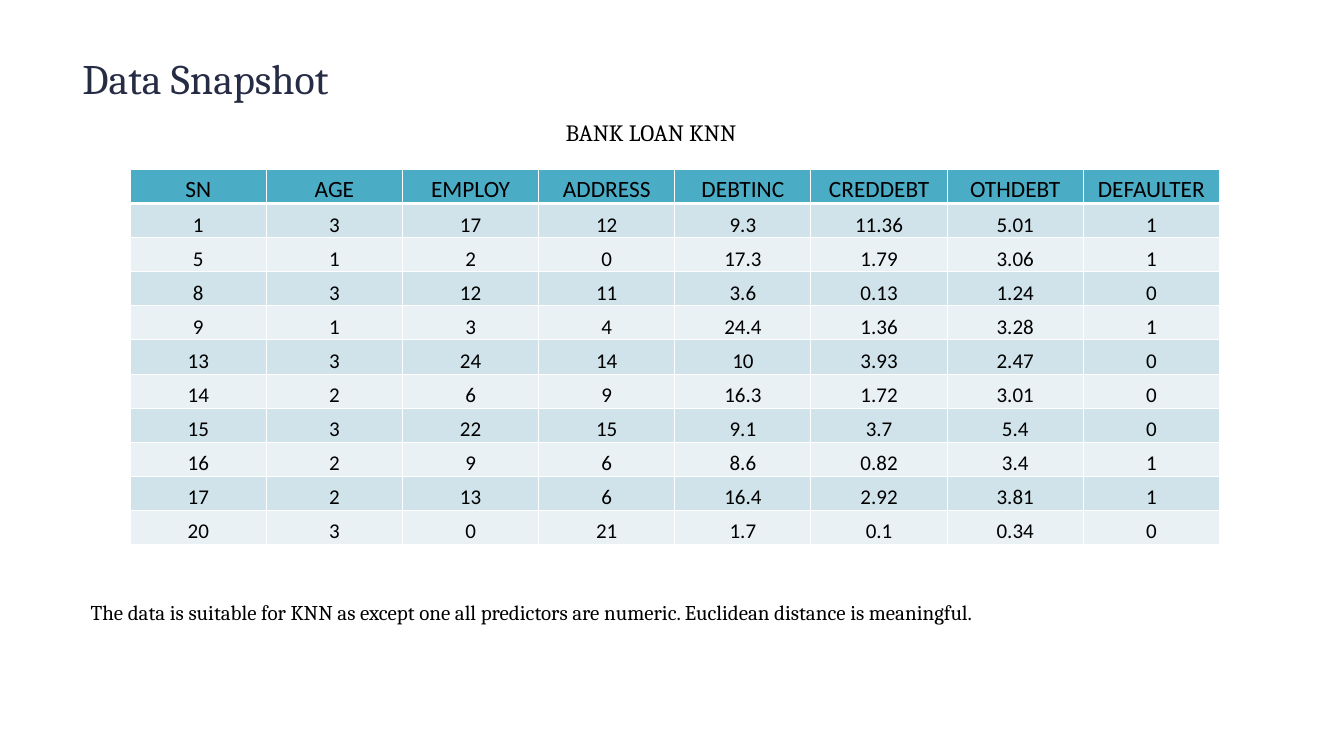
from dataclasses import dataclass

from pptx import Presentation
from pptx.dml.color import RGBColor
from pptx.enum import text as t
from pptx.oxml import parse_xml
from pptx.oxml.ns import nsdecls
from pptx.util import Pt

COLORS = {
    "title": "272C45",
    "text": "000000",
    "header": "4BACC6",
    "odd": "D0E3EA",
    "even": "E9F1F5",
    "border": "FFFFFF",
}

HEADERS = ["SN", "AGE", "EMPLOY", "ADDRESS", "DEBTINC", "CREDDEBT", "OTHDEBT", "DEFAULTER"]
LOANS = [
    [1, 3, 17, 12, 9.3, 11.36, 5.01, 1],
    [5, 1, 2, 0, 17.3, 1.79, 3.06, 1],
    [8, 3, 12, 11, 3.6, 0.13, 1.24, 0],
    [9, 1, 3, 4, 24.4, 1.36, 3.28, 1],
    [13, 3, 24, 14, 10, 3.93, 2.47, 0],
    [14, 2, 6, 9, 16.3, 1.72, 3.01, 0],
    [15, 3, 22, 15, 9.1, 3.7, 5.4, 0],
    [16, 2, 9, 6, 8.6, 0.82, 3.4, 1],
    [17, 2, 13, 6, 16.4, 2.92, 3.81, 1],
    [20, 3, 0, 21, 1.7, 0.1, 0.34, 0],
]
TABLE_LEFT, TABLE_TOP = 111.6, 145.4
COL_WIDTH, ROW_HEIGHT = 116.73, 29.2
THIN, THICK = 1, 3


@dataclass
class TextStyle:
    size: float
    font: str = "Cambria"
    color: str = "text"
    align: t.PP_ALIGN = t.PP_ALIGN.LEFT
    line_spacing: float = 1.0


@dataclass
class TextBox:
    left: float
    top: float
    width: float
    height: float
    text: str
    style: TextStyle


TITLE = TextBox(70.6, 44.6, 1075, 44.6, "Data Snapshot", TextStyle(36, color="title"))
BOXES = [
    TextBox(270, 97.9, 576, 31.5, "BANK LOAN KNN", TextStyle(20, align=t.PP_ALIGN.CENTER)),
    TextBox(70.6, 499.7, 1016, 36.7,
            "The data is suitable for KNN as except one all predictors are numeric. "
            "Euclidean distance is meaningful.",
            TextStyle(18, line_spacing=1.5)),
]


def write(tf, content: str, style: TextStyle) -> None:
    tf.text = content
    p = tf.paragraphs[0]
    p.alignment = style.align
    p.line_spacing = style.line_spacing
    font = p.runs[0].font
    font.name, font.size, font.bold = style.font, Pt(style.size), False
    font.color.rgb = RGBColor.from_string(COLORS[style.color])


def add_title(s, box: TextBox) -> None:
    sp = s.shapes.title
    sp.left, sp.top, sp.width, sp.height = map(Pt, (box.left, box.top, box.width, box.height))
    tf = sp.text_frame
    tf.margin_left = tf.margin_top = tf.margin_right = tf.margin_bottom = 0
    tf.vertical_anchor = t.MSO_ANCHOR.TOP
    write(tf, box.text, box.style)


def add_text(s, box: TextBox) -> None:
    sp = s.shapes.add_textbox(*map(Pt, (box.left, box.top, box.width, box.height)))
    sp.text_frame.word_wrap = True
    write(sp.text_frame, box.text, box.style)


def set_borders(cell, top: float, bottom: float) -> None:
    tc_pr = cell._tc.get_or_add_tcPr()
    for side, width in (("L", THIN), ("R", THIN), ("T", top), ("B", bottom)):
        tc_pr.append(parse_xml(
            f'<a:ln{side} {nsdecls("a")} w="{Pt(width)}"><a:solidFill>'
            f'<a:srgbClr val="{COLORS["border"]}"/></a:solidFill></a:ln{side}>'))


def add_loan_table(s) -> None:
    rows = [HEADERS, *LOANS]
    table = s.shapes.add_table(
        len(rows), len(HEADERS), Pt(TABLE_LEFT), Pt(TABLE_TOP),
        Pt(COL_WIDTH * len(HEADERS)), Pt(ROW_HEIGHT * len(rows))).table
    table.horz_banding = False
    for i, values in enumerate(rows):
        table.rows[i].height = Pt(ROW_HEIGHT)
        fill = "header" if i == 0 else "odd" if i % 2 else "even"
        style = TextStyle(18 if i else 20, "Calibri", align=t.PP_ALIGN.CENTER)
        for j, value in enumerate(values):
            cell = table.cell(i, j)
            cell.margin_left = cell.margin_top = cell.margin_right = Pt(0.7)
            cell.margin_bottom = 0
            cell.vertical_anchor = t.MSO_ANCHOR.BOTTOM
            set_borders(cell, THICK if i == 1 else THIN, THICK if i == 0 else THIN)
            cell.fill.solid()
            cell.fill.fore_color.rgb = RGBColor.from_string(COLORS[fill])
            write(cell.text_frame, str(value), style)


def main() -> None:
    prs = Presentation()
    prs.slide_width, prs.slide_height = Pt(1152), Pt(648)
    s = prs.slides.add_slide(prs.slide_layouts[5])
    add_title(s, TITLE)
    add_loan_table(s)
    for box in BOXES:
        add_text(s, box)
    prs.save("out.pptx")


if __name__ == "__main__":
    main()
